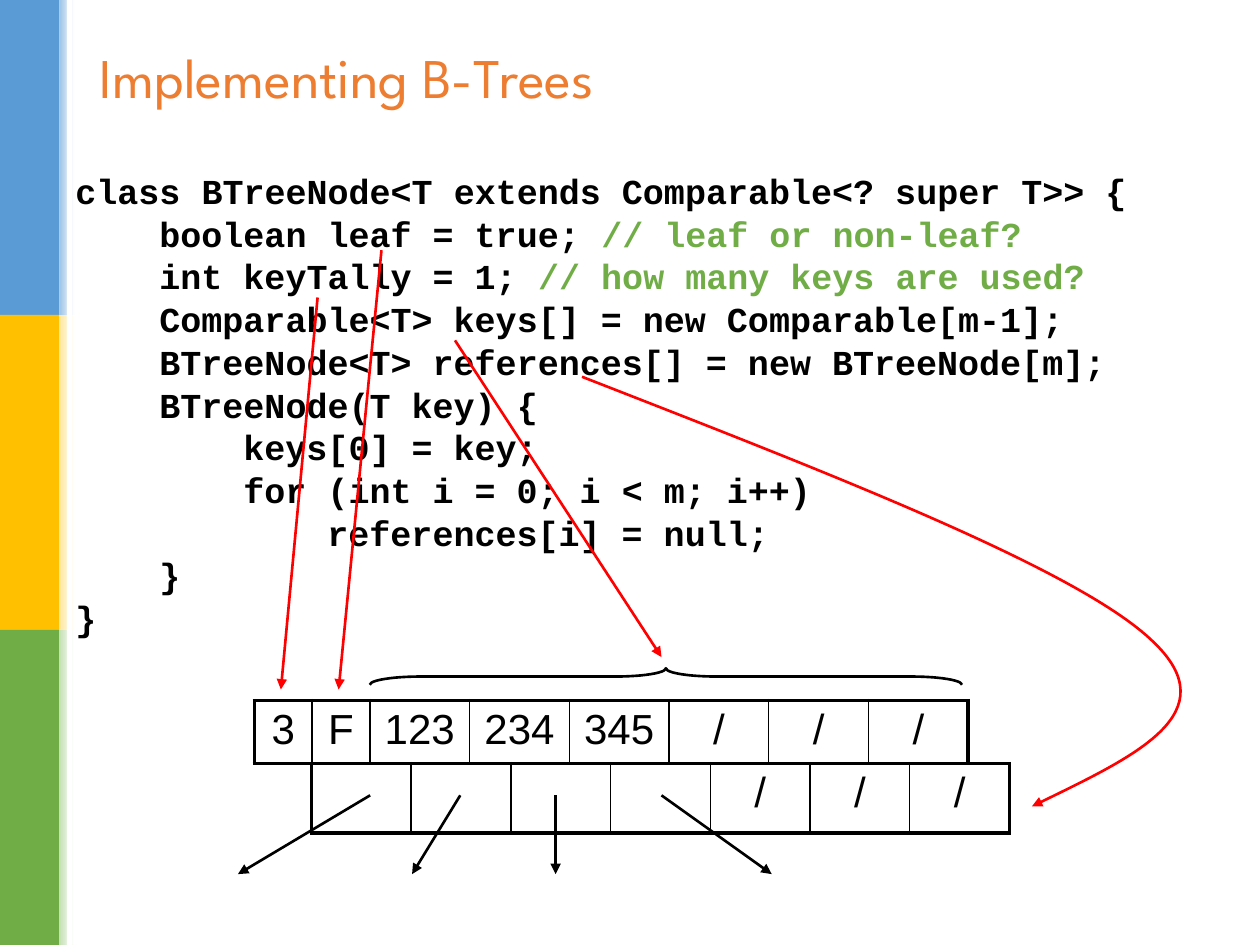
from dataclasses import dataclass

import pptx
import pptx.dml.color
import pptx.enum.shapes
import pptx.enum.text
import pptx.oxml
import pptx.oxml.ns
import pptx.util
from lxml import etree

Pt = pptx.util.Pt
qn = pptx.oxml.ns.qn
SHAPE = pptx.enum.shapes.MSO_SHAPE

COLORS = {
    "black": "000000", "white": "FFFFFF", "red": "FF0000", "orange": "ED7D31",
    "blue": "5B9BD5", "yellow": "FFC000", "green": "70AD47",
    "pale_blue": "9DC3E6", "pale_yellow": "FFE699", "pale_green": "C5E0B4",
}
CODE_INDENT = 48
CELL_W = 57
FLAG_W = 33


@dataclass
class CodeLine:
    level: int
    code: str
    comment: str = ""


@dataclass
class Arrow:
    x1: float
    y1: float
    x2: float
    y2: float
    color: str


@dataclass
class NodeRow:
    left: float
    top: float
    height: float
    widths: list[float]
    texts: list[str]
    inner: list[float]


CODE = [
    CodeLine(0, "class BTreeNode<T extends Comparable<? super T>> {"),
    CodeLine(1, "boolean leaf = true; ", "// leaf or non-leaf?"),
    CodeLine(1, "int keyTally = 1; ", "// how many keys are used?"),
    CodeLine(1, "Comparable<T> keys[] = new Comparable[m-1];"),
    CodeLine(1, "BTreeNode<T> references[] = new BTreeNode[m];"),
    CodeLine(1, "BTreeNode(T key) {"),
    CodeLine(2, "keys[0] = key;"),
    CodeLine(2, "for (int i = 0; i < m; i++)"),
    CodeLine(3, "references[i] = null;"),
    CodeLine(1, "}"),
    CodeLine(0, "}"),
]
NODE_ROWS = [
    NodeRow(145.4, 400.3, 36, [FLAG_W] * 2 + [CELL_W] * 6,
            ["3", "F", "123", "234", "345", "/", "/", "/"], [1.5, 1.5] + [1] * 5),
    NodeRow(178, 436.3, 39.6, [CELL_W] * 7, [""] * 4 + ["/"] * 3, [1] * 6),
]
ARROWS = [
    Arrow(211.5, 454.5, 136, 499.5, "black"),
    Arrow(263, 454.5, 235.5, 499.5, "black"),
    Arrow(317.5, 454.5, 317.5, 499.5, "black"),
    Arrow(378, 454.5, 441, 499.5, "black"),
    Arrow(260, 194.5, 378, 375.5, "red"),
    Arrow(181.5, 170, 160.5, 394, "red"),
    Arrow(218, 143, 193.5, 394, "red"),
]
REFERENCE_CURVE = [
    (332.6, 215.3), (474.5, 270.7), (616.3, 325.4), (658.8, 366.5),
    (702, 407.5), (645.8, 433.4), (589.7, 460.8),
]


def rgb(name: str) -> pptx.dml.color.RGBColor:
    return pptx.dml.color.RGBColor.from_string(COLORS[name])


def add_run(p, text: str, size: float, font: str, color: str, bold: bool = False) -> None:
    r = p.add_run()
    r.text = text
    r.font.size = Pt(size)
    r.font.name = font
    r.font.bold = bold
    r.font.color.rgb = rgb(color)


def add_bar(s, x: float, y: float, w: float, h: float, color: str, fade: bool = False) -> None:
    sp = s.shapes.add_shape(SHAPE.RECTANGLE, Pt(x), Pt(y), Pt(w), Pt(h))
    sp.shadow.inherit = False
    sp.line.fill.background()
    if fade:
        sp.fill.gradient()
        sp.fill.gradient_angle = 0
        for stop, name in zip(sp.fill.gradient_stops, (color, "white")):
            stop.color.rgb = rgb(name)
    else:
        sp.fill.solid()
        sp.fill.fore_color.rgb = rgb(color)


def add_text_frame(s, x: float, y: float, w: float, h: float):
    tf = s.shapes.add_textbox(Pt(x), Pt(y), Pt(w), Pt(h)).text_frame
    tf.word_wrap = True
    return tf


def add_code(s, lines: list[CodeLine]) -> None:
    tf = add_text_frame(s, 36, 98, 647.3, 270)
    for i, line in enumerate(lines):
        p = tf.paragraphs[0] if i == 0 else tf.add_paragraph()
        p.line_spacing = 0.8
        p.space_before = Pt(5.2)
        p._p.get_or_add_pPr().set("marL", str(Pt(CODE_INDENT * line.level)))
        add_run(p, line.code, 20, "Courier New", "black", True)
        if line.comment:
            add_run(p, line.comment, 20, "Courier New", "green", True)


def set_border(cell, side: str, width: float) -> None:
    ln = etree.SubElement(cell._tc.get_or_add_tcPr(), qn(f"a:ln{side}"), w=str(Pt(width)))
    fill = etree.SubElement(ln, qn("a:solidFill"))
    etree.SubElement(fill, qn("a:srgbClr"), val=COLORS["black"])


def add_node_row(s, row: NodeRow) -> None:
    frame = s.shapes.add_table(1, len(row.texts), Pt(row.left), Pt(row.top),
                               Pt(sum(row.widths)), Pt(row.height))
    table = frame.table
    table.first_row = table.horz_banding = False
    table.rows[0].height = Pt(row.height)
    edges = [2.25] + row.inner + [2.25]
    for i, text in enumerate(row.texts):
        table.columns[i].width = Pt(row.widths[i])
        cell = table.cell(0, i)
        for side, width in zip("LRTB", (edges[i], edges[i + 1], 2.25, 2.25)):
            set_border(cell, side, width)
        cell.fill.background()
        if text:
            p = cell.text_frame.paragraphs[0]
            p.alignment = pptx.enum.text.PP_ALIGN.CENTER
            add_run(p, text, 24, "Arial", "black")


def style_line(sp, color: str, head: bool = True) -> None:
    sp.line.color.rgb = rgb(color)
    sp.line.width = Pt(1.5)
    if head:
        etree.SubElement(sp.line._get_or_add_ln(), qn("a:tailEnd"), type="triangle")


def add_arrow(s, a: Arrow) -> None:
    cx = s.shapes.add_connector(pptx.enum.shapes.MSO_CONNECTOR.STRAIGHT,
                                Pt(a.x1), Pt(a.y1), Pt(a.x2), Pt(a.y2))
    style_line(cx, a.color)
    etree.SubElement(cx._element.spPr, qn("a:effectLst"))


def add_curve(s, points: list[tuple[float, float]], color: str) -> None:
    start, *controls = [(Pt(x), Pt(y)) for x, y in points]
    builder = s.shapes.build_freeform(*start)
    builder.add_line_segments(controls, close=False)
    sp = builder.convert_to_shape()
    segments = list(sp._element.iter(qn("a:lnTo")))
    for i in range(0, len(segments), 3):
        bezier = etree.Element(qn("a:cubicBezTo"))
        segments[i].addprevious(bezier)
        for segment in segments[i:i + 3]:
            bezier.append(segment[0])
            segment.getparent().remove(segment)
    sp.shadow.inherit = False
    sp.fill.background()
    style_line(sp, color)


prs = pptx.Presentation()
prs.slide_width, prs.slide_height = Pt(720), Pt(540)
s = prs.slides.add_slide(prs.slide_layouts[6])

for i, name in enumerate(("blue", "yellow", "green")):
    add_bar(s, 0, 180 * i, 34, 180, name)
    add_bar(s, 34, 180 * i, 8.5, 180, f"pale_{name}", fade=True)
add_bar(s, 38.2, 0, 2.9, 540, "white")

tf = add_text_frame(s, 49.7, 18, 620.6, 51)
tf.vertical_anchor = pptx.enum.text.MSO_ANCHOR.MIDDLE
add_run(tf.paragraphs[0], "Implementing B-Trees", 32, "League Spartan", "orange")

add_code(s, CODE)
for row in NODE_ROWS:
    add_node_row(s, row)

brace = s.shapes.add_shape(SHAPE.LEFT_BRACE, Pt(375.8), Pt(217.4), Pt(9.4), Pt(338.4))
brace.rotation = 90
brace.adjustments[0] = 3.09
brace.shadow.inherit = False
brace.fill.background()
style_line(brace, "black", head=False)

for arrow in ARROWS:
    add_arrow(s, arrow)
add_curve(s, REFERENCE_CURVE, "red")

prs.save("out.pptx")
